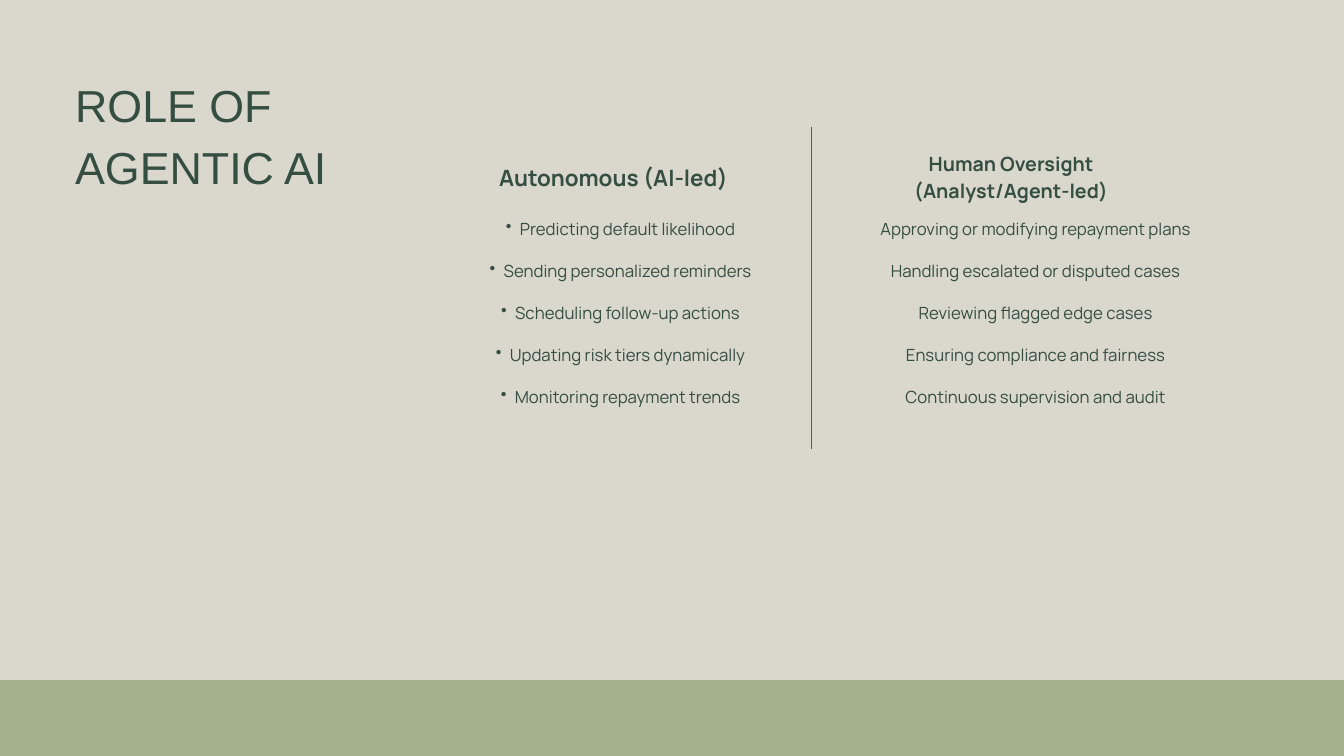
from dataclasses import dataclass

from lxml.etree import SubElement
from pptx import Presentation
from pptx.dml.color import RGBColor
from pptx.enum.shapes import MSO_CONNECTOR, MSO_SHAPE
from pptx.enum.text import MSO_ANCHOR, MSO_AUTO_SIZE, PP_ALIGN
from pptx.oxml.ns import qn
from pptx.util import Cm, Pt


@dataclass(frozen=True)
class Theme:
    """Colours, fonts and type sizes of the deck."""

    paper: RGBColor = RGBColor(0xDA, 0xD7, 0xCD)
    ink: RGBColor = RGBColor(0x34, 0x4E, 0x41)
    sage: RGBColor = RGBColor(0xA3, 0xB1, 0x8A)
    rust: RGBColor = RGBColor(0x80, 0x4F, 0x3B)
    display: str = "Arial"
    text: str = "Manrope"
    title: float = 48
    major: float = 24
    minor: float = 21
    body: float = 18
    lead: float = 1.4
    gap: float = 2.5


class Page:
    """Draws themed elements on one slide."""

    def __init__(self, deck, theme):
        """Add a title-only slide with the paper colour."""
        self.theme = theme
        self.slide = deck.slides.add_slide(deck.slide_layouts[5])
        fill = self.slide.background.fill
        fill.solid()
        fill.fore_color.rgb = theme.paper

    def style(self, shape, lines, size, font, lead, align, bold=False):
        """Fill a text shape with evenly styled paragraphs."""
        frame = shape.text_frame
        frame.word_wrap = True
        frame.auto_size = MSO_AUTO_SIZE.NONE
        frame.vertical_anchor = MSO_ANCHOR.TOP
        frame.margin_left = frame.margin_right = 0
        frame.margin_top = frame.margin_bottom = 0
        frame.text = "\n".join(lines)
        for para in frame.paragraphs:
            para.alignment = align
            para.line_spacing = Pt(size * lead)
            para.font.size = Pt(size)
            para.font.name = font
            para.font.bold = bold
            para.font.color.rgb = self.theme.ink
        return frame

    def title(self, text, left, top, width, height):
        """Place and style the title placeholder."""
        shape = self.slide.shapes.title
        shape.left, shape.top = Cm(left), Cm(top)
        shape.width, shape.height = Cm(width), Cm(height)
        look = self.theme
        self.style(shape, [text], look.title, look.display, look.lead, PP_ALIGN.LEFT)

    def box(self, left, top, width, height):
        """Add an empty text box."""
        return self.slide.shapes.add_textbox(Cm(left), Cm(top), Cm(width), Cm(height))

    def head(self, text, size, left, top, width, height):
        """Add a bold column heading."""
        look = self.theme
        shape = self.box(left, top, width, height)
        self.style(shape, [text], size, look.text, look.lead, PP_ALIGN.CENTER, True)

    def items(self, lines, left, top, width, height, dots=False):
        """Add a centred list, with bullets if asked."""
        look = self.theme
        shape = self.box(left, top, width, height)
        frame = self.style(shape, lines, look.body, look.text, look.gap, PP_ALIGN.CENTER)
        if dots:
            for para in frame.paragraphs:
                props = para._p.get_or_add_pPr()
                props.set("marL", str(Cm(1.07)))
                props.set("indent", str(Cm(-0.53)))
                bullet = props.makeelement(qn("a:buChar"), {"char": "•"})
                props.insert_element_before(bullet, "a:tabLst", "a:defRPr", "a:extLst")

    def band(self, left, top, width, height):
        """Add a plain colour band."""
        shape = self.slide.shapes.add_shape(
            MSO_SHAPE.RECTANGLE, Cm(left), Cm(top), Cm(width), Cm(height)
        )
        shape.shadow.inherit = False
        shape.fill.solid()
        shape.fill.fore_color.rgb = self.theme.sage
        shape.line.fill.background()

    def rule(self, left, top, end):
        """Add a thin upright divider."""
        line = self.slide.shapes.add_connector(
            MSO_CONNECTOR.STRAIGHT, Cm(left), Cm(top), Cm(left), Cm(end)
        )
        line.line.color.rgb = self.theme.rust
        line.line.width = Pt(0.75)
        SubElement(line._element.spPr, qn("a:effectLst"))


def main():
    """Build and save the slide."""
    deck = Presentation()
    deck.slide_width, deck.slide_height = Cm(50.8), Cm(28.58)
    look = Theme()
    page = Page(deck, look)
    page.title("ROLE OF AGENTIC AI", 2.84, 2.59, 11.02, 4.62)
    page.band(0, 25.71, 50.8, 2.87)
    page.rule(30.68, 4.8, 16.97)

    page.head("Autonomous (AI-led)", look.major, 17.15, 6.05, 12.07, 1.14)
    tasks = [
        "Predicting default likelihood",
        "Sending personalized reminders",
        "Scheduling follow-up actions",
        "Updating risk tiers dynamically",
        "Monitoring repayment trends",
    ]
    page.items(tasks, 17.15, 7.44, 12.07, 7.77, dots=True)

    page.head("Human Oversight (Analyst/Agent-led)", look.minor, 32.18, 5.59, 12.07, 2.08)
    checks = [
        "Approving or modifying repayment plans",
        "Handling escalated or disputed cases",
        "Reviewing flagged edge cases",
        "Ensuring compliance and fairness",
        "Continuous supervision and audit",
    ]
    page.items(checks, 31.95, 7.44, 14.38, 7.77)
    deck.save("out.pptx")


if __name__ == "__main__":
    main()
